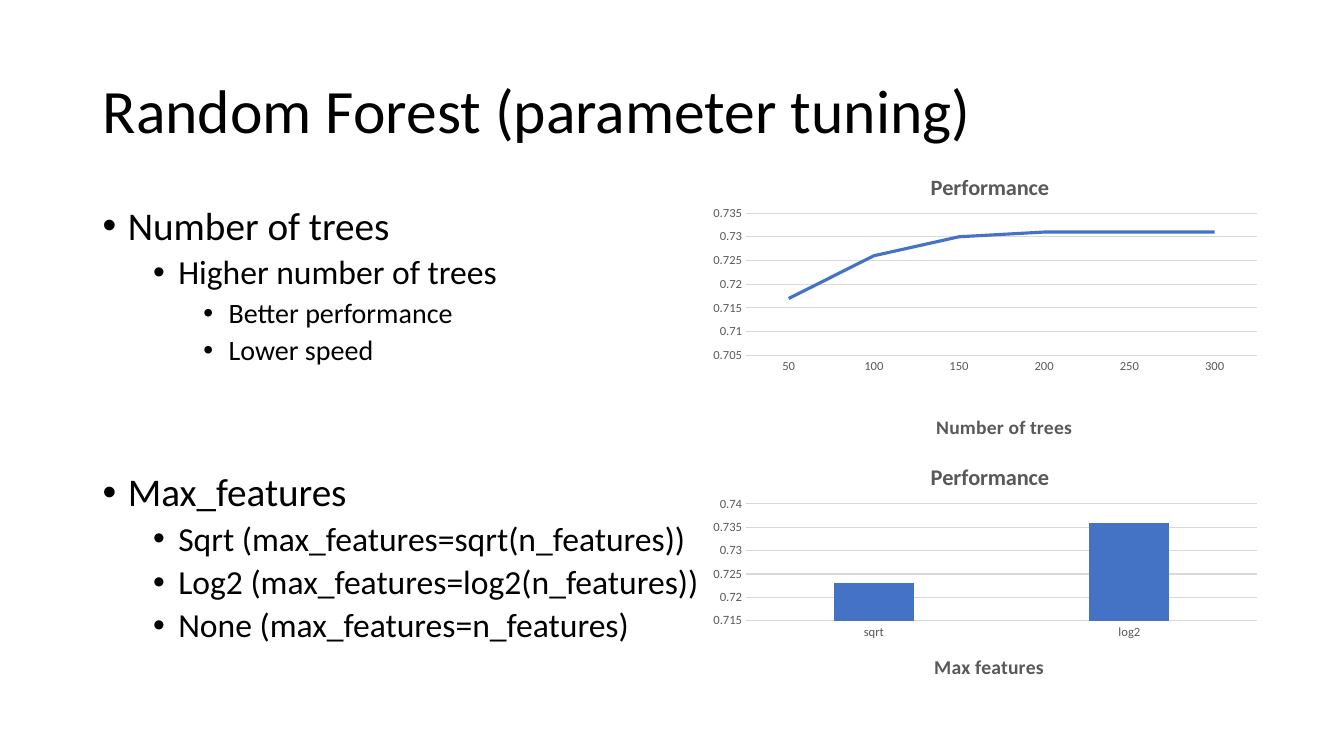
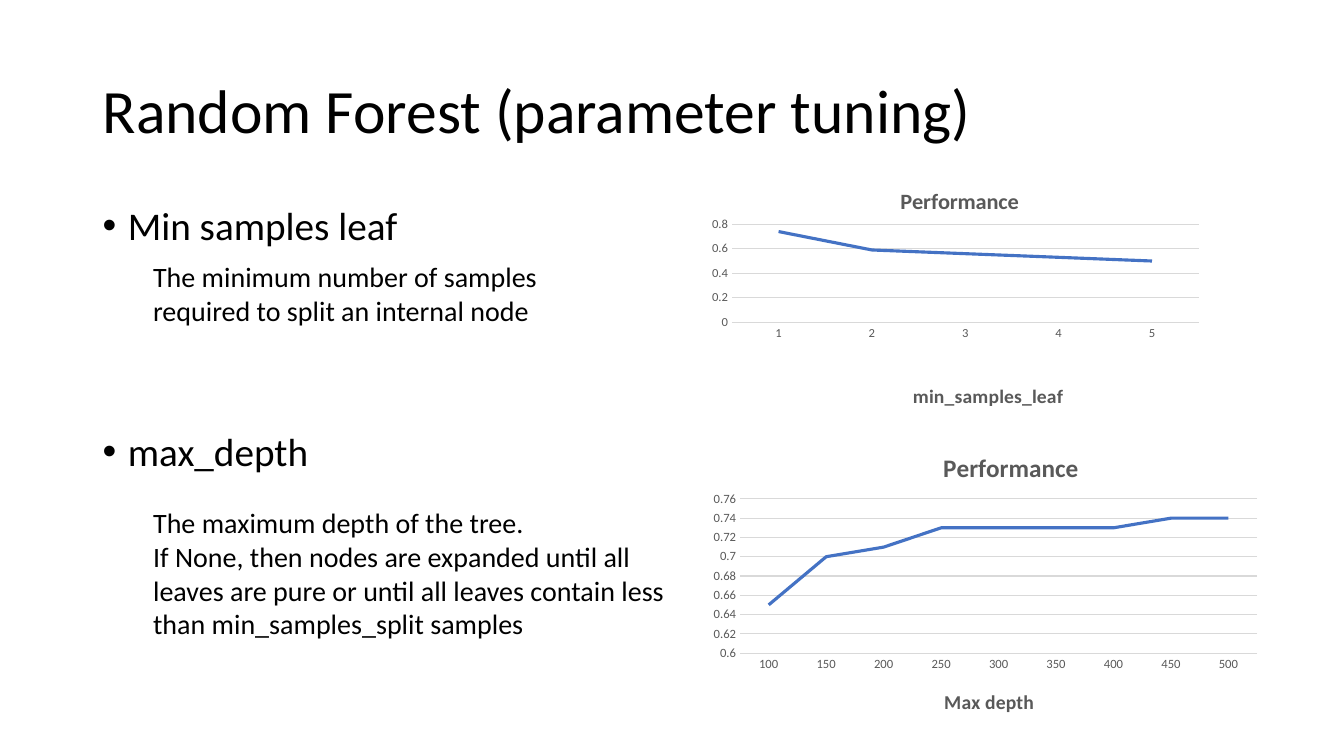
from lxml import etree
from pptx import Presentation
from pptx import util as u
from pptx.chart.data import CategoryChartData
from pptx.dml.color import RGBColor
from pptx.enum import chart as charts, text
from pptx.oxml import parse_xml
from pptx.oxml.ns import nsdecls, qn

BLACK = RGBColor(0x00, 0x00, 0x00)
GRAY = RGBColor(0x59, 0x59, 0x59)
GRID = RGBColor(0xD9, 0xD9, 0xD9)
BLUE = RGBColor(0x44, 0x72, 0xC4)
FONT = "Calibri"
LEVEL_SIZES = (28, 24, 20)
LINE = charts.XL_CHART_TYPE.LINE
COLUMN = charts.XL_CHART_TYPE.COLUMN_CLUSTERED


def style_font(font, size, color=BLACK, bold=False):
    """Apply the deck typeface with a size, colour and weight."""
    font.name = FONT
    font.size = u.Pt(size)
    font.bold = bold
    font.color.rgb = color


def write(paragraph, words, size=20, color=BLACK, bold=False, spacing=None,
          before=0, indent=0, bullet=False):
    """Fill a paragraph with formatted text, optionally indented or bulleted."""
    run = paragraph.add_run()
    run.text = words
    style_font(run.font, size, color, bold)
    if spacing:
        paragraph.line_spacing = spacing
    if before:
        paragraph.space_before = u.Pt(before)
    if indent:
        props = paragraph._p.get_or_add_pPr()
        props.set("marL", str(u.Inches(indent)))
        if bullet:
            props.set("indent", str(u.Inches(-0.25)))
            etree.SubElement(props, qn("a:buFont")).set("typeface", "Arial")
            etree.SubElement(props, qn("a:buChar")).set("char", "\u2022")


def layout_xml(frame, x, y, width=None, height=None):
    """Return a chart layout for a slide position, relative to the chart frame."""
    left, top, full_width, full_height = frame
    values = [("x", (x - left) / full_width), ("y", (y - top) / full_height)]
    target = ""
    if width:
        target = '<c:layoutTarget val="inner"/>'
        values += [("w", width / full_width), ("h", height / full_height)]
    modes = '<c:xMode val="edge"/><c:yMode val="edge"/>'
    sizes = "".join(f'<c:{key} val="{value:.4f}"/>' for key, value in values)
    return parse_xml(f'<c:layout {nsdecls("c")}><c:manualLayout>{target}{modes}'
                     f'{sizes}</c:manualLayout></c:layout>')


def set_layout(parent, layout, index):
    """Replace the layout of a chart part."""
    for old in parent.findall(qn("c:layout")):
        parent.remove(old)
    parent.insert(index, layout)


class Deck:
    """Shared style and the slide being built."""

    def __init__(self):
        """Open a wide presentation."""
        self.prs = Presentation()
        self.prs.slide_width = u.Inches(13.33)
        self.prs.slide_height = u.Inches(7.5)
        self.slide = None

    def new_slide(self, heading):
        """Start a slide with its heading."""
        self.slide = self.prs.slides.add_slide(self.prs.slide_layouts[6])
        frame = self.box(0.92, 0.4, 11.5, 1.45, text.MSO_ANCHOR.MIDDLE)
        write(frame.paragraphs[0], heading, size=44, spacing=0.9)

    def box(self, left, top, width, height, anchor=text.MSO_ANCHOR.TOP):
        """Add a wrapping text box and return its text frame."""
        shape = self.slide.shapes.add_textbox(*map(u.Inches, (left, top, width, height)))
        frame = shape.text_frame
        frame.word_wrap = True
        frame.vertical_anchor = anchor
        return frame

    def outline(self, items):
        """Add bulleted items given as (level, words, space before or None)."""
        frame = self.box(0.92, 2, 11.5, 4.76)
        for number, (level, words, gap) in enumerate(items):
            paragraph = frame.add_paragraph() if number else frame.paragraphs[0]
            write(paragraph, words, size=LEVEL_SIZES[level], spacing=0.9,
                  before=gap or (5 if level else 10),
                  indent=0.25 + 0.5 * level, bullet=True)

    def explanation(self, top, width, height, sentences):
        """Add indented plain paragraphs below a bullet."""
        frame = self.box(0.92, top, width, height)
        for number, words in enumerate(sentences):
            paragraph = frame.add_paragraph() if number else frame.paragraphs[0]
            write(paragraph, words, indent=0.5)

    def caption(self, title, words, frame, place, size):
        """Write a chart or axis title at a slide position."""
        write(title.text_frame.paragraphs[0], words, size=size, color=GRAY, bold=True)
        set_layout(title._element, layout_xml(frame, *place), 1)

    def performance(self, kind, frame, plot, scale, scores, parameter,
                    title_at, parameter_at, title_size=16):
        """Add a chart of performance against one parameter."""
        data = CategoryChartData()
        data.categories = list(scores)
        data.add_series("Performance", list(scores.values()))
        chart = self.slide.shapes.add_chart(kind, *map(u.Inches, frame), data).chart
        chart.has_legend = False
        style_font(chart.font, 10)
        chart.has_title = True
        self.caption(chart.chart_title, "Performance", frame, title_at, title_size)

        for axis in (chart.category_axis, chart.value_axis):
            axis.major_tick_mark = axis.minor_tick_mark = charts.XL_TICK_MARK.NONE
            style_font(axis.tick_labels.font, 9, GRAY)
        steps = chart.category_axis
        steps.has_title = True
        self.caption(steps.axis_title, parameter, frame, parameter_at, 14)
        levels = chart.value_axis
        levels.minimum_scale, levels.maximum_scale, levels.major_unit = scale
        levels.tick_labels.number_format = "General"
        levels.tick_labels.number_format_is_linked = False
        levels.format.line.fill.background()
        for line in (steps.format.line, levels.major_gridlines.format.line):
            line.color.rgb = GRID
            line.width = u.Pt(0.75)

        group = chart.plots[0]
        group.vary_by_categories = False
        series = group.series[0]
        if kind == LINE:
            series.smooth = False
            series.marker.style = charts.XL_MARKER_STYLE.NONE
            series.format.line.color.rgb = BLUE
            series.format.line.width = u.Pt(2.25)
        else:
            group.gap_width, group.overlap = 219, -27
            series.format.fill.solid()
            series.format.fill.fore_color.rgb = BLUE
        area = chart._chartSpace.find(".//" + qn("c:plotArea"))
        set_layout(area, layout_xml(frame, *plot), 0)


def trees_and_features(deck):
    """Build the slide on tree count and feature choice."""
    deck.new_slide("Random Forest (parameter tuning)")
    deck.outline([
        (0, "Number of trees", None),
        (1, "Higher number of trees", None),
        (2, "Better performance", None),
        (2, "Lower speed", None),
        (0, "Max_features", 76),
        (1, "Sqrt (max_features=sqrt(n_features))", None),
        (1, "Log2 (max_features=log2(n_features))", None),
        (1, "None (max_features=n_features)", None),
    ])
    tree_scores = (0.717, 0.726, 0.73, 0.731, 0.731, 0.731)
    deck.performance(
        LINE, (6.96, 1.52, 5.62, 2.9), (7.4, 2.13, 5.07, 1.45),
        (0.705, 0.735, 0.005), dict(zip(map(str, range(50, 301, 50)), tree_scores)),
        "Number of trees", title_at=(9.19, 1.68), parameter_at=(9.25, 4.14))
    deck.performance(
        COLUMN, (6.96, 4.38, 5.62, 2.52), (7.4, 5, 5.07, 1.16),
        (0.715, 0.74, 0.005), {"sqrt": 0.723, "log2": 0.736},
        "Max features", title_at=(9.19, 4.54), parameter_at=(9.23, 6.45))


def leaf_and_depth(deck):
    """Build the slide on leaf size and tree depth."""
    deck.new_slide("Random Forest (parameter tuning)")
    deck.outline([(0, "Min samples leaf", None), (0, "max_depth", 131)])
    leaf_scores = (0.74, 0.59, 0.56, 0.53, 0.5)
    deck.performance(
        LINE, (6.96, 1.67, 5.03, 2.44), (7.26, 2.24, 4.63, 1),
        (0, 0.8, 0.2), dict(zip("12345", leaf_scores)),
        "min_samples_leaf", title_at=(8.89, 1.81), parameter_at=(9.02, 3.82))
    deck.explanation(2.53, 4.94, 1.08, [
        "The minimum number of samples",
        "required to split an internal node",
    ])
    deck.explanation(4.97, 5.95, 1.78, [
        "The maximum depth of the tree.",
        "If None, then nodes are expanded until all leaves are pure or until all "
        "leaves contain less than min_samples_split samples",
    ])
    depth_scores = (0.65, 0.7, 0.71, 0.73, 0.73, 0.73, 0.73, 0.74, 0.74)
    deck.performance(
        LINE, (6.96, 4.25, 5.62, 2.99), (7.34, 4.95, 5.13, 1.53),
        (0.6, 0.76, 0.02), dict(zip(map(str, range(100, 501, 50)), depth_scores)),
        "Max depth", title_at=(9.31, 4.42), parameter_at=(9.33, 6.79), title_size=18)


deck = Deck()
trees_and_features(deck)
leaf_and_depth(deck)
deck.prs.save("out.pptx")
